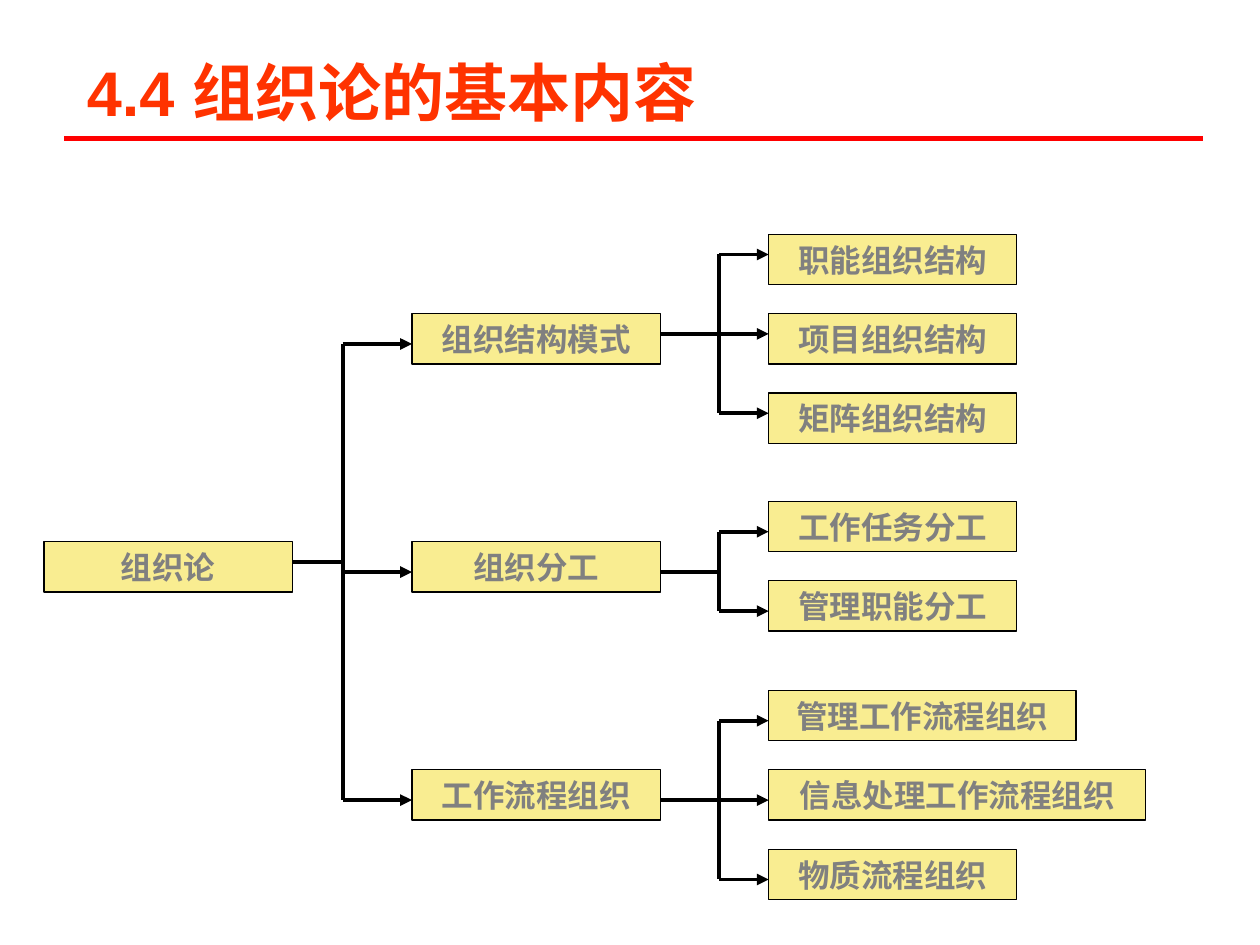
from lxml import etree
from pptx import Presentation
from pptx.dml.color import RGBColor
from pptx.enum.shapes import MSO_CONNECTOR, MSO_SHAPE
from pptx.enum.text import MSO_ANCHOR, MSO_AUTO_SIZE, PP_ALIGN
from pptx.oxml.ns import qn
from pptx.util import Inches, Pt

STRAIGHT = MSO_CONNECTOR.STRAIGHT
RECTANGLE = MSO_SHAPE.RECTANGLE
MIDDLE = MSO_ANCHOR.MIDDLE
LEFT, CENTER = PP_ALIGN.LEFT, PP_ALIGN.CENTER
FIXED_SIZE = MSO_AUTO_SIZE.NONE

COLORS = {"title": "FF3300", "rule": "FF0000", "box": "F9ED91",
          "label": "808080", "line": "000000"}
FONT = "Arial"

ROOT_X, BRANCH_X, LEAF_X = 0.35, 3.27, 6.10
TRUNK_X, LEAF_TRUNK_X = 2.72, 5.71
BOX_W, BOX_H = 1.97, 0.40
BRANCH_TOP, BRANCH_STEP, LEAF_STEP = 2.49, 1.81, 0.63
UPPER, LOWER = 0.16, 0.24  # where lines meet a box, measured from its top

ROOT = "组织论"
# branch, height of its lines, top of first leaf, leaves with their widths
BRANCHES = [
    ("组织结构模式", UPPER, 1.86,
     [("职能组织结构", BOX_W), ("项目组织结构", BOX_W), ("矩阵组织结构", BOX_W)]),
    ("组织分工", LOWER, 3.98,
     [("工作任务分工", BOX_W), ("管理职能分工", BOX_W)]),
    ("工作流程组织", LOWER, 5.48,
     [("管理工作流程组织", 2.44), ("信息处理工作流程组织", 2.99),
      ("物质流程组织", BOX_W)]),
]


def color(name):
    return RGBColor.from_string(COLORS[name])


def write_text(frame, text, *, size, color_name, align):
    frame.word_wrap = True
    frame.auto_size = FIXED_SIZE
    frame.vertical_anchor = MIDDLE
    paragraph = frame.paragraphs[0]
    paragraph.alignment = align
    run = paragraph.add_run()
    run.text = text
    run.font.name = FONT
    run.font.size = Pt(size)
    run.font.bold = True
    run.font.color.rgb = color(color_name)


def add_title(slide, text):
    title = slide.shapes.title
    title.left, title.top = Inches(0.59), Inches(0.44)
    title.width, title.height = Inches(7.17), Inches(0.57)
    write_text(title.text_frame, text, size=36, color_name="title", align=LEFT)


def add_box(slide, text, left, top, width=BOX_W):
    box = slide.shapes.add_shape(RECTANGLE, Inches(left), Inches(top),
                                 Inches(width), Inches(BOX_H))
    box.shadow.inherit = False
    box.fill.solid()
    box.fill.fore_color.rgb = color("box")
    box.line.color.rgb = color("line")
    box.line.width = Pt(0.75)
    write_text(box.text_frame, text, size=18, color_name="label", align=CENTER)


def add_line(slide, x1, y1, x2, y2, *, color_name="line", width=2.25, arrow=False):
    line = slide.shapes.add_connector(STRAIGHT, Inches(x1), Inches(y1),
                                      Inches(x2), Inches(y2))
    line.line.color.rgb = color(color_name)
    line.line.width = Pt(width)
    if arrow:
        etree.SubElement(line.line._get_or_add_ln(), qn("a:tailEnd"), type="triangle")
    etree.SubElement(line._element.spPr, qn("a:effectLst"))


def add_fork(slide, parent_x, parent_y, trunk_x, child_x, child_ys):
    """Join a parent to its children by a trunk; a level child gets one long arrow."""
    level = [abs(y - parent_y) < 0.01 for y in child_ys]
    if not any(level):
        add_line(slide, parent_x, parent_y, trunk_x, parent_y)
    add_line(slide, trunk_x, child_ys[0], trunk_x, child_ys[-1])
    for y, is_level in zip(child_ys, level):
        add_line(slide, parent_x if is_level else trunk_x, y, child_x, y, arrow=True)


def add_tree(slide):
    branch_tops = [BRANCH_TOP + i * BRANCH_STEP for i in range(len(BRANCHES))]
    root_top = branch_tops[1]
    add_box(slide, ROOT, ROOT_X, root_top)
    add_fork(slide, ROOT_X + BOX_W, root_top + UPPER, TRUNK_X, BRANCH_X,
             [top + LOWER for top in branch_tops])
    for branch_top, (branch, offset, first_top, leaves) in zip(branch_tops, BRANCHES):
        add_box(slide, branch, BRANCH_X, branch_top)
        leaf_tops = [first_top + i * LEAF_STEP for i in range(len(leaves))]
        for leaf_top, (leaf, width) in zip(leaf_tops, leaves):
            add_box(slide, leaf, LEAF_X, leaf_top, width)
        add_fork(slide, BRANCH_X + BOX_W, branch_top + offset, LEAF_TRUNK_X, LEAF_X,
                 [top + offset for top in leaf_tops])


def main():
    deck = Presentation()
    deck.slide_width, deck.slide_height = Inches(10), Inches(7.5)
    slide = deck.slides.add_slide(deck.slide_layouts[5])
    add_line(slide, 0.51, 1.1, 9.55, 1.1, color_name="rule", width=3)
    add_title(slide, "4.4 组织论的基本内容")
    add_tree(slide)
    deck.save("out.pptx")


if __name__ == "__main__":
    main()
